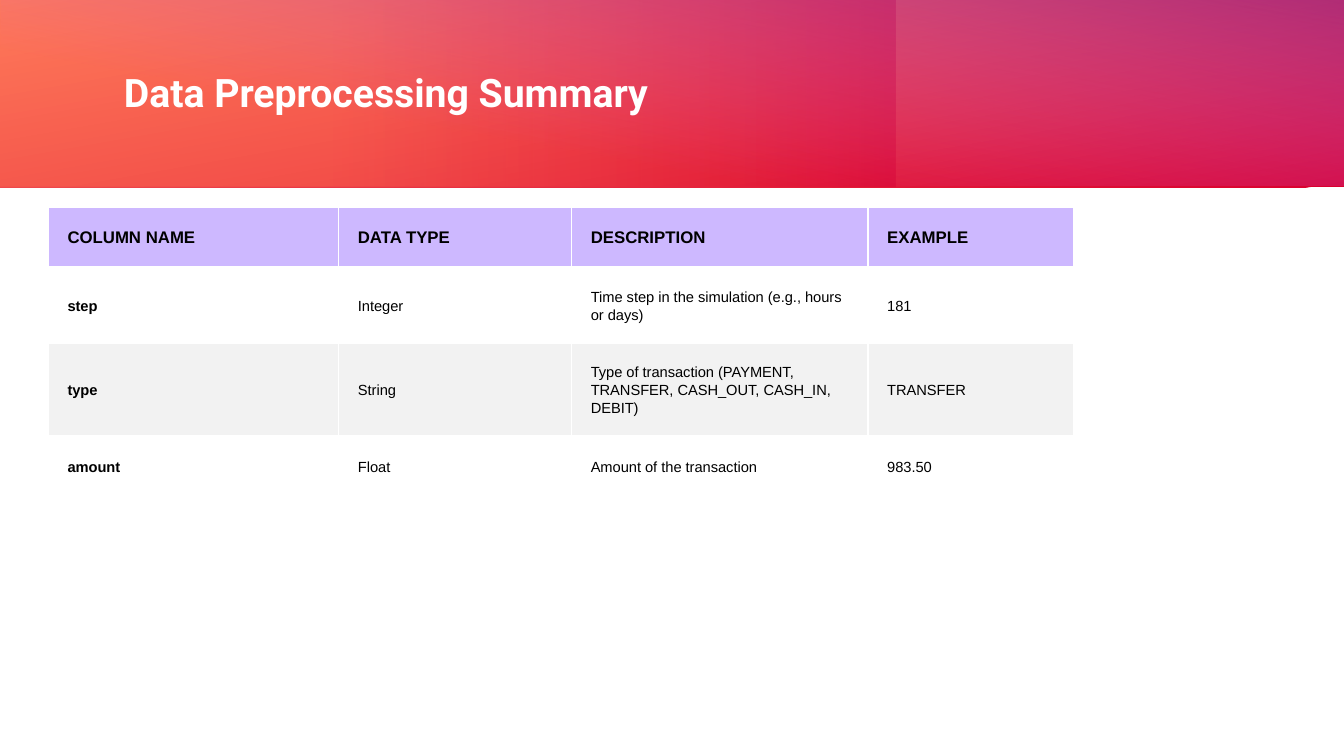
from lxml.etree import SubElement
from pptx import Presentation
from pptx.dml.color import RGBColor
from pptx.enum.shapes import MSO_SHAPE
from pptx.enum.text import MSO_ANCHOR
from pptx.oxml.ns import qn
from pptx.util import Inches, Pt

COLORS = {
    "white": "FFFFFF", "black": "000000", "header": "CDB8FF", "stripe": "F2F2F2",
    "red": "DA002F", "orange": "FF8463", "coral": "FF6C4F",
    "orchid": "D861D4", "purple": "93258E",
}
WIDTH, HEIGHT = 13.33, 7.5
COLUMN_WIDTHS = [2.88, 2.31, 2.94, 2.04]
ROW_HEIGHTS = [0.59, 0.76, 0.91, 0.61]
BANNER_LAYERS = [
    ((-0.01, 0, 13.35, 1.86), 260, [(0, "red", 100), (100, "orange", 100)]),
    ((-0.01, 0, 8.89, 1.85), 0, [(37, "coral", 42), (99, "red", 50)]),
    ((0.01, -0.01, 13.34, 1.85), 280, [(32, "orchid", 0), (100, "purple", 66)]),
]
ROWS = [
    ["COLUMN NAME", "DATA TYPE", "DESCRIPTION", "EXAMPLE"],
    ["step", "Integer", "Time step in the simulation (e.g., hours or days)", "181"],
    ["type", "String",
     "Type of transaction (PAYMENT, TRANSFER, CASH_OUT, CASH_IN, DEBIT)", "TRANSFER"],
    ["amount", "Float", "Amount of the transaction", "983.50"],
]


def rgb(name):
    return RGBColor.from_string(COLORS[name])


def set_attributes(target, values):
    for name, value in values.items():
        setattr(target, name, value)


def write_text(paragraph, text, line_spacing, color, font_values):
    paragraph.line_spacing = line_spacing
    run = paragraph.add_run()
    run.text = text
    set_attributes(run.font, font_values)
    run.font.color.rgb = rgb(color)


def add_color(parent, name, opacity=100):
    color = SubElement(parent, qn("a:srgbClr"), val=COLORS[name])
    if opacity < 100:
        SubElement(color, qn("a:alpha"), val=str(opacity * 1000))


def add_banner_layer(slide, box, angle, stops):
    shape = slide.shapes.add_shape(MSO_SHAPE.RECTANGLE, *map(Inches, box))
    shape.shadow.inherit = False
    shape.line.fill.background()
    shape.fill.gradient()
    gradient = shape.fill._xPr.find(qn("a:gradFill"))
    for child in list(gradient):
        gradient.remove(child)
    stop_list = SubElement(gradient, qn("a:gsLst"))
    for position, color, opacity in stops:
        stop = SubElement(stop_list, qn("a:gs"), pos=str(position * 1000))
        add_color(stop, color, opacity)
    SubElement(gradient, qn("a:lin"), ang=str(angle * 60000), scaled="0")


def add_title(slide, text):
    box = slide.shapes.add_textbox(*map(Inches, (1.13, 0.38, 10.8, 1.13)))
    set_attributes(box.text_frame, {"word_wrap": True, "vertical_anchor": MSO_ANCHOR.MIDDLE})
    write_text(box.text_frame.paragraphs[0], text, 0.9, "white",
               {"name": "Roboto", "size": Pt(28), "bold": True})


def add_borders(cell):
    properties = cell._tc.get_or_add_tcPr()
    for index, side in enumerate(("a:lnL", "a:lnR", "a:lnT", "a:lnB")):
        line = properties.makeelement(qn(side), {"w": str(Pt(1))})
        add_color(SubElement(line, qn("a:solidFill")), "white")
        properties.insert(index, line)


def format_cell(cell, text, row, column):
    is_header = row == 0
    set_attributes(cell, {"vertical_anchor": MSO_ANCHOR.MIDDLE} | {
        f"margin_{side}": Inches(0.19) for side in ("left", "right", "top", "bottom")})
    write_text(cell.text_frame.paragraphs[0], text, Pt(14.2 if is_header else 12.8), "black",
               {"name": "Arial", "size": Pt(12 if is_header else 10.5),
                "bold": is_header or column == 0})
    if is_header or row % 2 == 0:
        cell.fill.solid()
        cell.fill.fore_color.rgb = rgb("header" if is_header else "stripe")
    else:
        cell.fill.background()
    add_borders(cell)


def add_summary_table(slide):
    frame = slide.shapes.add_table(
        len(ROWS), len(COLUMN_WIDTHS), Inches(0.48), Inches(2.06),
        Inches(sum(COLUMN_WIDTHS)), Inches(sum(ROW_HEIGHTS)))
    table = frame.table
    set_attributes(table, {"first_row": False, "horz_banding": False})
    for column, width in zip(table.columns, COLUMN_WIDTHS):
        column.width = Inches(width)
    for row, height in zip(table.rows, ROW_HEIGHTS):
        row.height = Inches(height)
    for row, texts in enumerate(ROWS):
        for column, text in enumerate(texts):
            format_cell(table.cell(row, column), text, row, column)


def main():
    presentation = Presentation()
    set_attributes(presentation, {"slide_width": Inches(WIDTH), "slide_height": Inches(HEIGHT)})
    slide = presentation.slides.add_slide(presentation.slide_layouts[6])
    for box, angle, stops in BANNER_LAYERS:
        add_banner_layer(slide, box, angle, stops)
    add_title(slide, "Data Preprocessing Summary")
    add_summary_table(slide)
    presentation.save("out.pptx")


if __name__ == "__main__":
    main()
